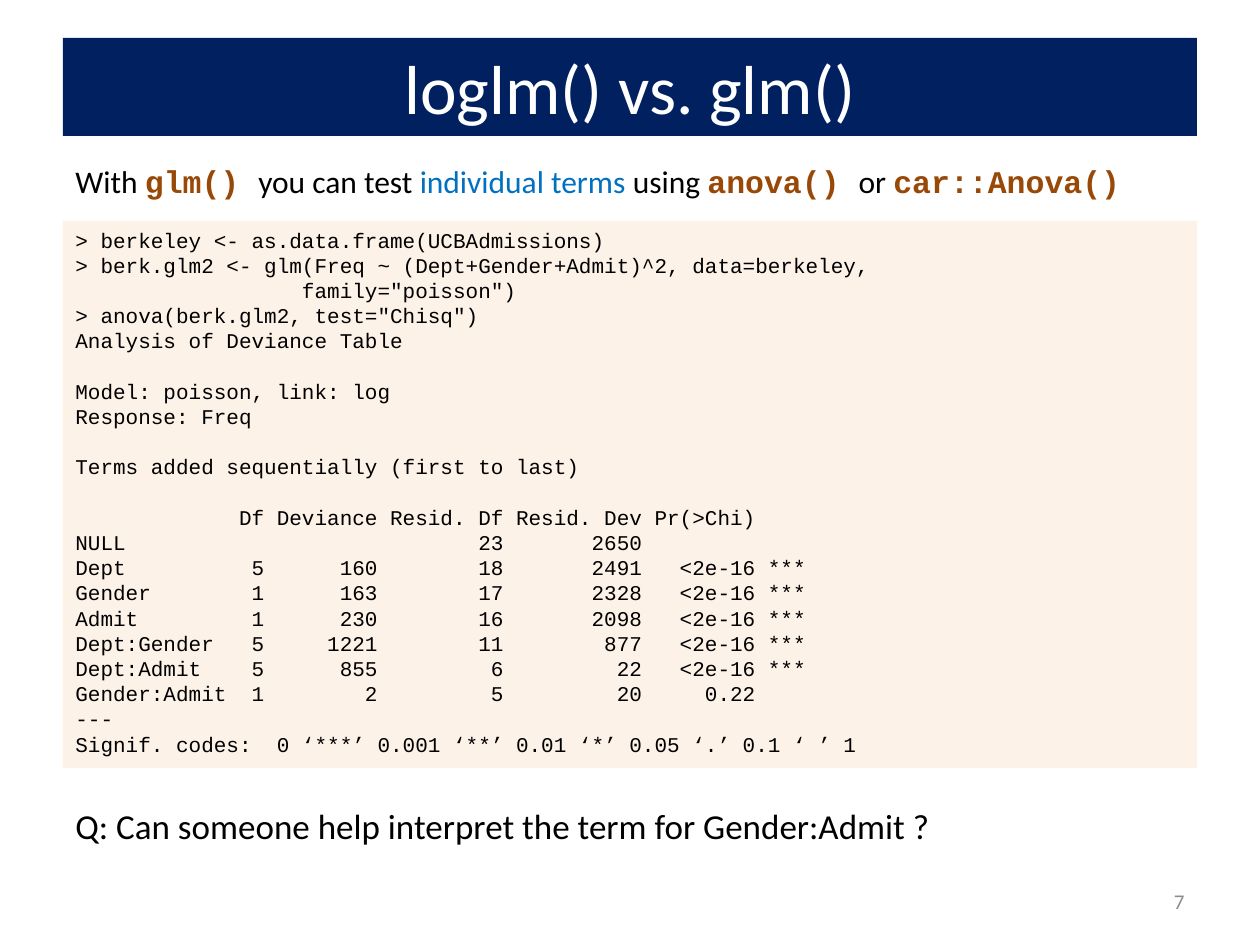
from lxml import etree
from pptx import Presentation
from pptx.dml.color import RGBColor
from pptx.enum.shapes import MSO_SHAPE
from pptx.enum.text import MSO_ANCHOR, PP_ALIGN
from pptx.oxml.ns import qn
from pptx.util import Emu, Pt

RECT = MSO_SHAPE.RECTANGLE
TOP, MIDDLE = MSO_ANCHOR.TOP, MSO_ANCHOR.MIDDLE
LEFT, CENTER, RIGHT = PP_ALIGN.LEFT, PP_ALIGN.CENTER, PP_ALIGN.RIGHT
PX = 914400 / 126
BODY, MONO = "Calibri", "Courier New"
COLORS = {"navy": "002060", "peach": "FDEADA", "brown": "984807", "blue": "0070C0",
          "black": "000000", "white": "FFFFFF", "gray": "8C8C8C"}

TITLE = "loglm() vs. glm()"
INTRO = [("With ", "text"), ("glm() ", "code"), ("you can test ", "text"),
         ("individual terms ", "accent"), ("using ", "text"), ("anova() ", "code"),
         ("or ", "text"), ("car::Anova()", "code")]
RUN_STYLES = {"text": (BODY, "black", False), "accent": (BODY, "blue", False),
              "code": (MONO, "brown", True)}
SESSION = [
    "> berkeley <- as.data.frame(UCBAdmissions)",
    "> berk.glm2 <- glm(Freq ~ (Dept+Gender+Admit)^2, data=berkeley,",
    '                  family="poisson")',
    '> anova(berk.glm2, test="Chisq")',
    "Analysis of Deviance Table",
    "",
    "Model: poisson, link: log",
    "Response: Freq",
    "",
    "Terms added sequentially (first to last)",
    "",
    "             Df Deviance Resid. Df Resid. Dev Pr(>Chi)",
    "NULL                            23       2650",
    "Dept          5      160        18       2491   <2e-16 ***",
    "Gender        1      163        17       2328   <2e-16 ***",
    "Admit         1      230        16       2098   <2e-16 ***",
    "Dept:Gender   5     1221        11        877   <2e-16 ***",
    "Dept:Admit    5      855         6         22   <2e-16 ***",
    "Gender:Admit  1        2         5         20     0.22",
    "---",
    "Signif. codes:  0 ‘***’ 0.001 ‘**’ 0.01 ‘*’ 0.05 ‘.’ 0.1 ‘ ’ 1",
]
QUESTION = "Q: Can someone help interpret the term for Gender:Admit ?"
PAGE = "7"

MARGIN, WIDTH = 63, 1134


def px(n):
    return Emu(round(n * PX))


def rgb(name):
    return RGBColor.from_string(COLORS[name])


def set_font(font, size, name, color, bold=False):
    font.size, font.name, font.bold = Pt(size), name, bold
    font.color.rgb = rgb(color)


def add_box(s, top, height, left=MARGIN, width=WIDTH, fill=None, anchor=TOP):
    """Add a text box, or a rectangle when a fill is named."""
    at = px(left), px(top), px(width), px(height)
    if fill:
        sp = s.shapes.add_shape(RECT, *at)
        sp.shadow.inherit = False
        sp.fill.solid()
        sp.fill.fore_color.rgb = rgb(fill)
        sp.line.fill.background()
    else:
        sp = s.shapes.add_textbox(*at)
    sp.text_frame.word_wrap = True
    sp.text_frame.vertical_anchor = anchor
    return sp


def write(sp, lines, size, name=BODY, color="black", align=LEFT):
    tf = sp.text_frame
    tf.text = "\n".join(lines)
    for p in tf.paragraphs:
        p.alignment = align
        set_font(p.font, size, name, color)
        if not p.runs:  # an empty line takes its height from the end mark
            etree.SubElement(p._p, qn("a:endParaRPr"), sz=str(size * 100))


def set_alpha(sp, percent):
    color = sp.fill._xPr.find(qn("a:solidFill"))[0]
    etree.SubElement(color, qn("a:alpha"), val=str(percent * 1000))


prs = Presentation()
prs.slide_width, prs.slide_height = px(1260), px(945)
s = prs.slides.add_slide(prs.slide_layouts[6])

title = add_box(s, 38, 98, fill="navy", anchor=MIDDLE)
write(title, [TITLE], 39.6, color="white", align=CENTER)

intro = add_box(s, 156, 51)
p = intro.text_frame.paragraphs[0]
for text, style in INTRO:
    r = p.add_run()
    r.text = text
    set_font(r.font, 18, *RUN_STYLES[style])

session = add_box(s, 221, 547, fill="peach")
set_alpha(session, 60)
write(session, SESSION, 12, MONO)

write(add_box(s, 798, 55), [QUESTION], 20)

page = add_box(s, 876, 50, left=903, width=294, anchor=MIDDLE)
write(page, [PAGE], 12, color="gray", align=RIGHT)

prs.save("out.pptx")
